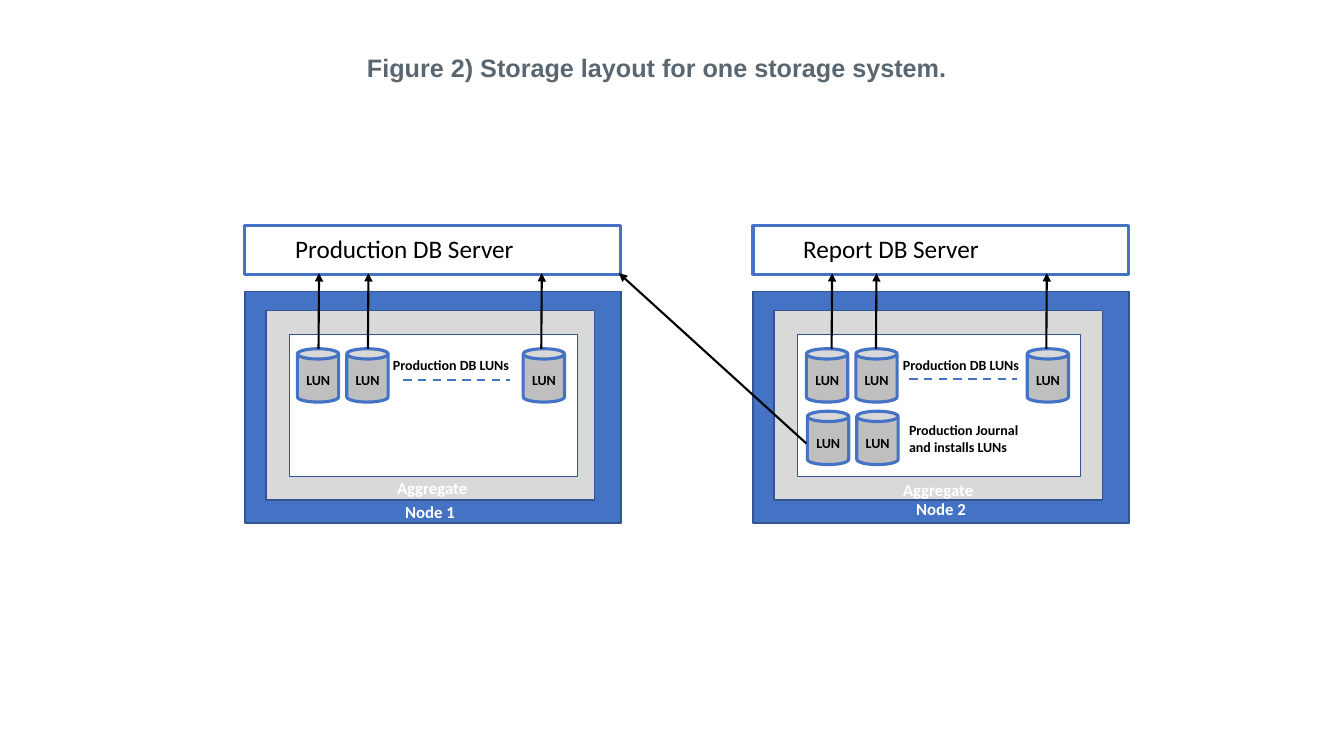
from lxml import etree
from pptx import Presentation
from pptx.dml.color import RGBColor
from pptx.enum.dml import MSO_LINE
from pptx.enum.shapes import MSO_CONNECTOR, MSO_SHAPE
from pptx.enum.text import MSO_ANCHOR, PP_ALIGN
from pptx.oxml.ns import qn
from pptx.util import Inches, Pt

COLORS = {
    "node": "4472C4",
    "node_edge": "325491",
    "aggregate": "D9D9D9",
    "volume": "FFFFFF",
    "lun": "BFBFBF",
    "ink": "000000",
    "light_text": "FFFFFF",
    "title": "5B6770",
}

# One grid cell is a tenth of an inch in both directions
CELL = 0.1
SLIDE_COLUMNS, SLIDE_ROWS = 133.33, 75
NODE_WIDTH = 37.3
SERVER_TOP, SERVER_HEIGHT = 22.4, 4.8
SERVER_BOTTOM = 27.1
LUN_ROWS = (34.6, 40.8)

# Columns in a node are counted from the node's left edge
NODES = [
    {
        "left": 24.3, "name": "Node 1", "name_at": (14.9, 49.3),
        "server": "Production DB Server", "server_width": 24,
        "volume_width": 28.6, "aggregate_at": (14.1, 46.9),
        "luns": [(5.2, 0), (10.1, 0), (27.6, 0)],
        "arrows": (7.3, 12.2, 29.4),
        "label_at": 13.7, "dash": (15.7, 26.3, 37.7),
    },
    {
        "left": 74.7, "name": "Node 2", "name_at": (15.2, 49),
        "server": "Report DB Server", "server_width": 19.6,
        "volume_width": 28.1, "aggregate_at": (13.9, 47.1),
        "luns": [(5.3, 0), (10.2, 0), (27.2, 0), (5.4, 1), (10.3, 1)],
        "arrows": (7.8, 12.2, 29.1),
        "label_at": 13.9, "dash": (15.5, 26.2, 37.6),
    },
]


def grid(*cells):
    return [Inches(cell * CELL) for cell in cells]


def color(name):
    return RGBColor.from_string(COLORS[name])


def format_text(text_frame, size, color_name, bold=False, font="Calibri"):
    for paragraph in text_frame.paragraphs:
        paragraph.alignment = PP_ALIGN.LEFT
        for run in paragraph.runs:
            run.font.name = font
            run.font.size = Pt(size)
            run.font.bold = bold
            run.font.color.rgb = color(color_name)


def add_box(shapes, kind, cells, fill, edge, weight):
    box = shapes.add_shape(kind, *grid(*cells))
    box.shadow.inherit = False
    if fill:
        box.fill.solid()
        box.fill.fore_color.rgb = color(fill)
    else:
        box.fill.background()
    box.line.color.rgb = color(edge)
    box.line.width = Pt(weight)


def add_label(shapes, text, cells, size, color_name="ink", bold=True):
    label = shapes.add_textbox(*grid(*cells))
    label.text_frame.word_wrap = False
    label.text_frame.text = text
    format_text(label.text_frame, size, color_name, bold)


def add_line(shapes, start, end, color_name):
    line = shapes.add_connector(MSO_CONNECTOR.STRAIGHT, *grid(*start, *end))
    line.line.color.rgb = color(color_name)
    line.line.width = Pt(1.5)
    etree.SubElement(line._element.spPr, qn("a:effectLst"))
    return line


def add_arrow(shapes, start, end):
    arrow = add_line(shapes, start, end, "ink")
    outline = arrow.line._get_or_add_ln()
    etree.SubElement(outline, qn("a:tailEnd"), type="triangle")


def add_lun(shapes, left, top):
    group = shapes.add_group_shape()
    add_box(group.shapes, MSO_SHAPE.CAN, (left, top, 4.1, 5.3), "lun", "node", 2.25)
    add_label(group.shapes, "LUN", (left - 0.1, top + 1.8, 4.8, 2.7), 10)


def add_title(slide):
    title = slide.shapes.title
    title.left, title.top, title.width, title.height = grid(35.4, 4.7, 60.1, 4)
    frame = title.text_frame
    frame.text = "Figure 2) Storage layout for one storage system."
    frame.word_wrap = False
    frame.vertical_anchor = MSO_ANCHOR.MIDDLE
    format_text(frame, 18, "title", True, "Arial")


def add_node(shapes, node):
    left = node["left"]

    # Nested node, aggregate and volume
    for cells, fill in (
        ((left, 28.9, NODE_WIDTH, 23), "node"),
        ((left + 2.1, 30.8, 32.6, 18.8), "aggregate"),
        ((left + 4.4, 33.2, node["volume_width"], 14.1), "volume"),
    ):
        add_box(shapes, MSO_SHAPE.RECTANGLE, cells, fill, "node_edge", 1)

    # Database server above the node
    add_box(shapes, MSO_SHAPE.RECTANGLE,
            (left, SERVER_TOP, NODE_WIDTH, SERVER_HEIGHT), None, "node", 2.25)
    add_label(shapes, node["server"], (left + 4, 22.7, node["server_width"], 4),
              18, bold=False)

    # LUNs and their arrows to the server
    for column, row in node["luns"]:
        add_lun(shapes, left + column, LUN_ROWS[row])
    for column in node["arrows"]:
        add_arrow(shapes, (left + column, LUN_ROWS[0]),
                  (left + column + 0.05, SERVER_BOTTOM))

    # Dashed run of further LUNs
    add_label(shapes, "Production DB LUNs",
              (left + node["label_at"], 34.9, 13.7, 2.7), 10)
    start, end, row = node["dash"]
    dash = add_line(shapes, (left + start, row), (left + end, row), "node")
    dash.line.dash_style = MSO_LINE.DASH

    # Names of the layers
    for text, (column, row), width in (
        (node["name"], node["name_at"], 7),
        ("Aggregate", node["aggregate_at"], 9.1),
    ):
        add_label(shapes, text, (left + column, row, width, 3), 12, "light_text")


def main():
    presentation = Presentation()
    presentation.slide_width, presentation.slide_height = grid(SLIDE_COLUMNS, SLIDE_ROWS)
    slide = presentation.slides.add_slide(presentation.slide_layouts[5])
    add_title(slide)
    for node in NODES:
        add_node(slide.shapes, node)

    # Journal LUNs serve the production server
    add_label(slide.shapes, "Production Journal\nand installs LUNs",
              (89.2, 41.3, 13.3, 4.4), 10)
    add_arrow(slide.shapes, (80, 44), (61.4, SERVER_BOTTOM))
    presentation.save("out.pptx")


if __name__ == "__main__":
    main()
